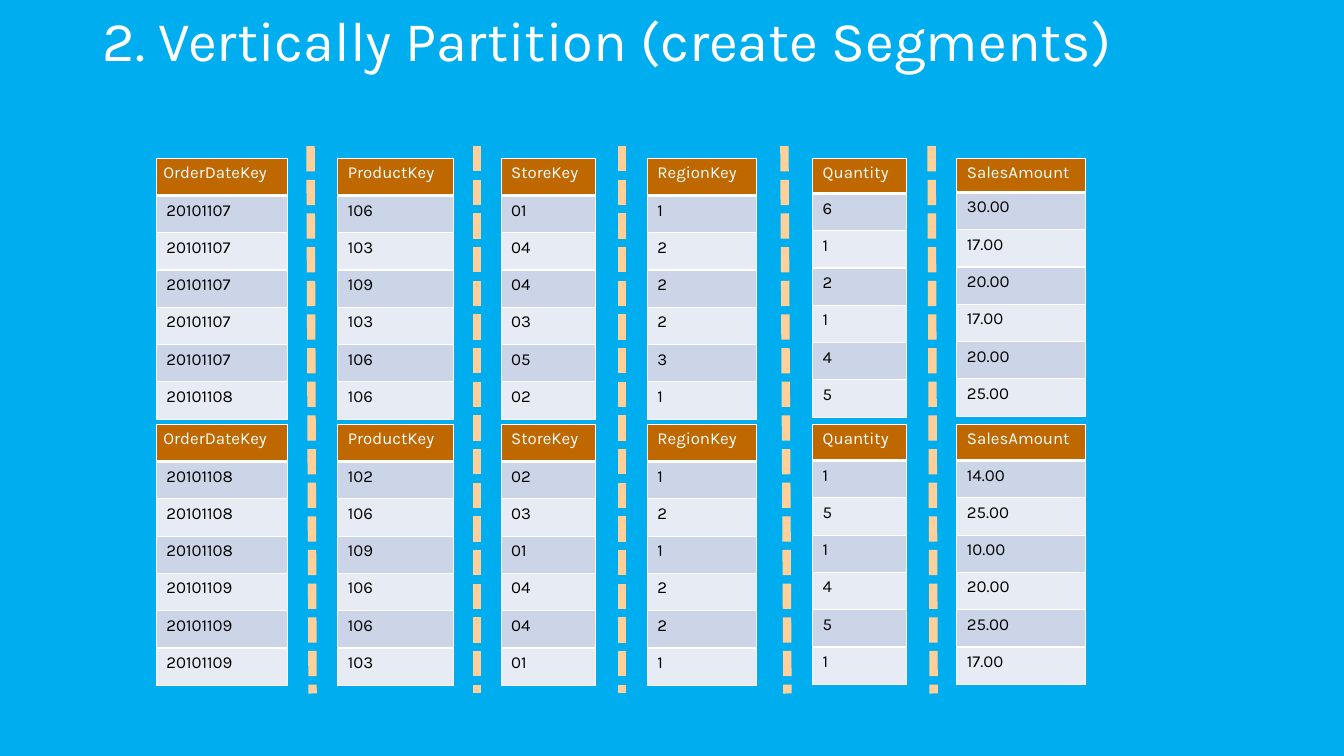
from lxml.etree import SubElement
from pptx import Presentation
from pptx.dml.color import RGBColor
from pptx.enum.dml import MSO_LINE_DASH_STYLE as DashStyle
from pptx.enum.shapes import MSO_CONNECTOR as Connector
from pptx.enum.text import MSO_ANCHOR as Anchor, MSO_AUTO_SIZE as AutoSize, PP_ALIGN as Align
from pptx.oxml import parse_xml
from pptx.oxml.ns import nsdecls, qn
from pptx.util import Inches, Pt

COLORS = {
    "background": "00AEEF",
    "header": "BF6800",
    "odd row": "CCD5E7",
    "even row": "E7EBF3",
    "divider": "FFD099",
    "light": "FFFFFF",
    "dark": "000000",
}
FONT = "Karla"
ROW_HEIGHT = 0.37
SEGMENT_TOPS = (1.57, 4.21)
DIVIDER_TOP, DIVIDER_BOTTOM = 1.45, 6.88
DIVIDERS = ((3.08, 3.1), (4.73, 4.73), (6.17, 6.17), (7.78, 7.81), (9.24, 9.26))

# name, left, width, header inset, header heights by segment, values by segment
COLUMNS = (
    ("OrderDateKey", 1.55, 1.3, 0.07, (0.37, 0.37),
     ("20101107 20101107 20101107 20101107 20101107 20101108",
      "20101108 20101108 20101108 20101109 20101109 20101109")),
    ("ProductKey", 3.35, 1.15, 0.1, (0.37, 0.37),
     ("106 103 109 103 106 106", "102 106 109 106 106 103")),
    ("StoreKey", 4.97, 0.94, 0.1, (0.37, 0.37),
     ("01 04 04 03 05 02", "02 03 01 04 04 01")),
    ("RegionKey", 6.42, 1.08, 0.1, (0.37, 0.37),
     ("1 2 2 2 3 1", "1 2 1 2 2 1")),
    ("Quantity", 8.06, 0.93, 0.1, (0.35, 0.36),
     ("6 1 2 1 4 5", "1 5 1 4 5 1")),
    ("SalesAmount", 9.49, 1.28, 0.1, (0.34, 0.36),
     ("30.00 17.00 20.00 17.00 20.00 25.00",
      "14.00 25.00 10.00 20.00 25.00 17.00")),
)


def color(name):
    return RGBColor.from_string(COLORS[name])


def add_text(paragraph, text, size, color_name):
    run = paragraph.add_run()
    run.text = text
    run.font.name = FONT
    run.font.size = Pt(size)
    run.font.bold = False
    run.font.color.rgb = color(color_name)


def set_borders(cell, bottom_width):
    """Draw white borders, which the schema wants ahead of the cell's fill."""
    properties = cell._tc.get_or_add_tcPr()
    sides = (("lnL", 1), ("lnR", 1), ("lnT", 1), ("lnB", bottom_width))
    for position, (side, width) in enumerate(sides):
        border = parse_xml(
            f'<a:{side} {nsdecls("a")} w="{Pt(width)}"><a:solidFill>'
            f'<a:srgbClr val="{COLORS["light"]}"/></a:solidFill></a:{side}>')
        properties.insert(position, border)


def format_cell(cell, text, fill, text_color, inset, bottom_width):
    cell.margin_left = cell.margin_right = Inches(inset)
    cell.margin_top = cell.margin_bottom = Inches(0.05)
    cell.fill.solid()
    cell.fill.fore_color.rgb = color(fill)
    add_text(cell.text_frame.paragraphs[0], text, 12, text_color)
    set_borders(cell, bottom_width)


def add_segment(slide, left, top, width, header, header_height, header_inset, values):
    """Add one column of the partitioned table as a table of its own."""
    height = header_height + ROW_HEIGHT * len(values)
    table = slide.shapes.add_table(
        len(values) + 1, 1, Inches(left), Inches(top), Inches(width), Inches(height)).table
    for row in table.rows:
        row.height = Inches(ROW_HEIGHT)
    table.rows[0].height = Inches(header_height)
    format_cell(table.cell(0, 0), header, "header", "light", header_inset, 3)
    for row, value in enumerate(values, start=1):
        fill = "odd row" if row % 2 else "even row"
        format_cell(table.cell(row, 0), value, fill, "dark", 0.1, 1)
    # The first data row shares the header's thick border.
    table.cell(1, 0)._tc.tcPr.find(qn("a:lnT")).set("w", str(Pt(3)))


def add_divider(slide, top_x, bottom_x):
    divider = slide.shapes.add_connector(
        Connector.STRAIGHT, Inches(top_x), Inches(DIVIDER_TOP),
        Inches(bottom_x), Inches(DIVIDER_BOTTOM))
    divider.line.color.rgb = color("divider")
    divider.line.width = Pt(6)
    divider.line.dash_style = DashStyle.SQUARE_DOT
    SubElement(divider._element.spPr, qn("a:effectLst"))


def set_title(slide, text):
    title = slide.shapes.title
    title.left, title.top = Inches(0.92), 0
    title.width, title.height = Inches(11.5), Inches(1.45)
    frame = title.text_frame
    frame.word_wrap = True
    frame.auto_size = AutoSize.NONE
    frame.vertical_anchor = Anchor.TOP
    paragraph = frame.paragraphs[0]
    paragraph.alignment = Align.LEFT
    add_text(paragraph, text, 40, "light")


def main():
    presentation = Presentation()
    presentation.slide_width = Inches(13.33)
    presentation.slide_height = Inches(7.5)
    slide = presentation.slides.add_slide(presentation.slide_layouts[5])
    slide.background.fill.solid()
    slide.background.fill.fore_color.rgb = color("background")

    set_title(slide, "2. Vertically Partition (create Segments)")
    for segment, top in enumerate(SEGMENT_TOPS):
        for name, left, width, inset, header_heights, values in COLUMNS:
            add_segment(slide, left, top, width, name, header_heights[segment],
                        inset, values[segment].split())
    for top_x, bottom_x in DIVIDERS:
        add_divider(slide, top_x, bottom_x)
    presentation.save("out.pptx")


if __name__ == "__main__":
    main()
